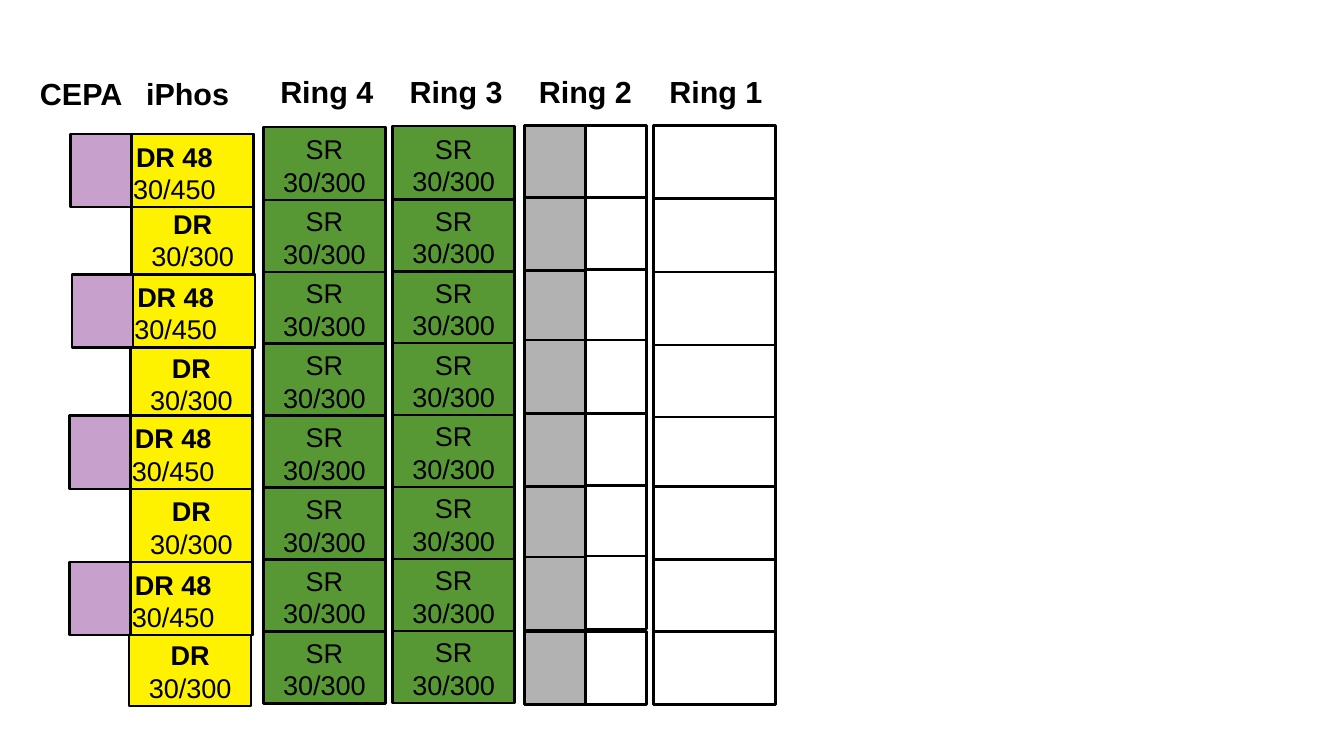
from pptx import Presentation
from pptx.dml.color import RGBColor
from pptx.enum.shapes import MSO_SHAPE as Shape
from pptx.enum.text import MSO_ANCHOR as Anchor, PP_ALIGN as Align
from pptx.util import Inches, Pt

COLORS = {"black": "000000", "white": "FFFFFF", "green": "579835",
          "yellow": "FFF200", "purple": "C7A0CB", "gray": "B2B2B2"}
FONT = "Arial"

# Column headings: text, left, top
HEADINGS = [("CEPA", 0.23, 0.57), ("iPhos", 1.1, 0.57), ("Ring 4", 2.2, 0.55),
            ("Ring 3", 3.26, 0.55), ("Ring 2", 4.32, 0.55), ("Ring 1", 5.39, 0.55)]

# Green rings: left, top of first cell
GREEN_RINGS = [(2.16, 1.04), (3.22, 1.035)]
ROWS, ROW_PITCH = 8, 0.59

# Plain cells: left, width, colour, tops
PLAIN_COLUMNS = [
    (4.3, 0.5, "gray", [1.03, 1.62, 2.22, 2.79, 3.39, 3.99, 4.57, 5.18]),
    (4.8, 0.5, "white", [1.03, 1.62, 2.21, 2.79, 3.39, 3.98, 4.56, 5.18]),
    (5.36, 1, "white", [1.03, 1.63, 2.23, 2.83, 3.42, 3.99, 4.59, 5.18]),
]

# iPhos cells: left, top
SINGLE_CELLS = [(1.08, 1.65), (1.07, 2.83), (1.07, 4.01), (1.06, 5.19)]
CEPA_CELLS = [(1.08, 1.1), (1.09, 2.25), (1.07, 3.41), (1.07, 4.61)]

CELL_WIDTH, CELL_HEIGHT = 1, 0.6
CEPA_OVERHANG = 0.5


def color(name):
    return RGBColor.from_string(COLORS[name])


def write(shape, bold_text, plain_text, size, align, left=0, right=0):
    frame = shape.text_frame
    frame.word_wrap = True
    frame.vertical_anchor = Anchor.TOP
    frame.margin_left, frame.margin_right = Inches(left), Inches(right)
    frame.margin_top = frame.margin_bottom = Inches(0.05)
    paragraph = frame.paragraphs[0]
    paragraph.alignment = align
    paragraph.font.name, paragraph.font.size = FONT, Pt(size)
    paragraph.font.color.rgb = color("black")
    for text, bold in ((bold_text, True), (plain_text, False)):
        if text:
            run = paragraph.add_run()
            run.text, run.font.bold = text, bold


def add_cell(slide, left, top, fill, width=CELL_WIDTH):
    cell = slide.shapes.add_shape(Shape.RECTANGLE, Inches(left), Inches(top),
                                  Inches(width), Inches(CELL_HEIGHT))
    cell.shadow.inherit = False
    cell.fill.solid()
    cell.fill.fore_color.rgb = color(fill)
    cell.line.color.rgb = color("black")
    cell.line.width = Pt(1.5)
    return cell


def main():
    presentation = Presentation()
    presentation.slide_width, presentation.slide_height = Inches(11.02), Inches(6.2)
    slide = presentation.slides.add_slide(presentation.slide_layouts[6])

    # Headings
    for text, left, top in HEADINGS:
        box = slide.shapes.add_textbox(Inches(left), Inches(top), Inches(1), Inches(0.38))
        write(box, text, "", 18, Align.LEFT, left=0.1, right=0.1)

    # Rings 4 and 3
    for left, first_top in GREEN_RINGS:
        for row in reversed(range(ROWS)):
            cell = add_cell(slide, left, first_top + row * ROW_PITCH, "green")
            write(cell, "", "SR 30/300", 16, Align.CENTER)

    # Rings 2 and 1
    for left, width, fill, tops in PLAIN_COLUMNS:
        for top in tops:
            add_cell(slide, left, top, fill, width)

    # iPhos cells without and with CEPA
    for left, top in SINGLE_CELLS:
        cell = add_cell(slide, left, top, "yellow")
        write(cell, "DR", " 30/300", 16, Align.CENTER)
    for left, top in CEPA_CELLS:
        add_cell(slide, left - CEPA_OVERHANG, top, "purple", CELL_WIDTH + CEPA_OVERHANG)
        cell = add_cell(slide, left, top, "yellow")
        write(cell, "DR 48", " 30/450", 16, Align.CENTER, right=0.3)

    presentation.save("out.pptx")


if __name__ == "__main__":
    main()
